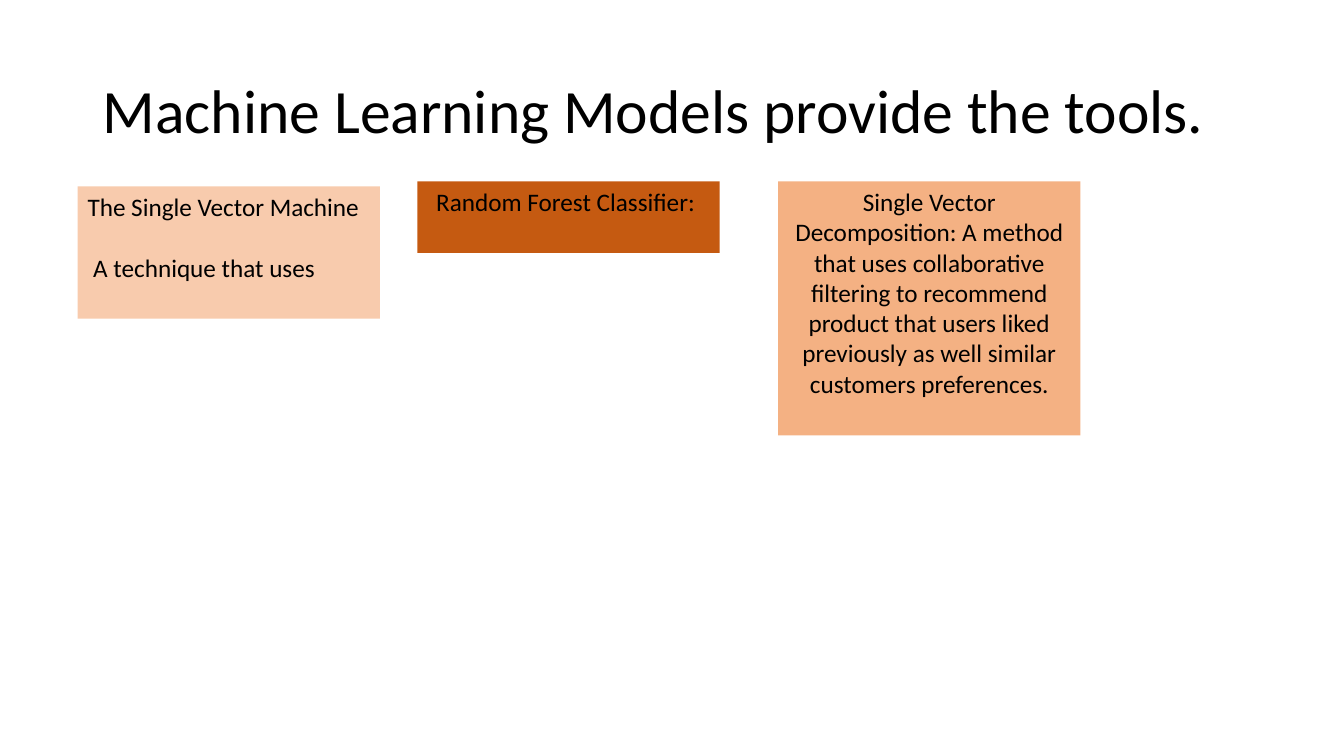
from dataclasses import dataclass

from pptx import Presentation
from pptx.dml.color import RGBColor
from pptx.enum.shapes import MSO_SHAPE
from pptx.enum.text import MSO_ANCHOR, PP_ALIGN
from pptx.util import Inches, Pt


@dataclass(frozen=True)
class Theme:
    font: str = "Calibri"
    title_size: float = 44
    body_size: float = 18
    line_height: float = 22
    text: str = "000000"
    pale: str = "F8CBAD"
    medium: str = "F4B183"
    dark: str = "C55A11"


THEME = Theme()

presentation = Presentation()
presentation.slide_width = Inches(13.333)
presentation.slide_height = Inches(7.5)

# The grid has 100 columns and 100 rows
COLUMN = presentation.slide_width / 100
ROW = presentation.slide_height / 100
CARD_WIDTH = 22.5


def grid_box(left, top, width, height):
    return (round(left * COLUMN), round(top * ROW),
            round(width * COLUMN), round(height * ROW))


def write_paragraph(paragraph, text, size, alignment):
    paragraph.text = text
    paragraph.alignment = alignment
    paragraph.font.name = THEME.font
    paragraph.font.size = Pt(size)
    paragraph.font.color.rgb = RGBColor.from_string(THEME.text)


def add_title(slide, box, text):
    frame = slide.shapes.add_textbox(*grid_box(*box)).text_frame
    frame.word_wrap = True
    frame.vertical_anchor = MSO_ANCHOR.MIDDLE
    paragraph = frame.paragraphs[0]
    write_paragraph(paragraph, text, THEME.title_size, PP_ALIGN.LEFT)
    paragraph.line_spacing = 0.9


def add_model_card(slide, box, fill, lines, alignment):
    card = slide.shapes.add_shape(MSO_SHAPE.RECTANGLE, *grid_box(*box))
    card.shadow.inherit = False
    card.fill.solid()
    card.fill.fore_color.rgb = RGBColor.from_string(fill)
    card.line.fill.background()
    frame = card.text_frame
    frame.word_wrap = True
    frame.vertical_anchor = MSO_ANCHOR.TOP
    for index, line in enumerate(lines):
        paragraph = frame.add_paragraph() if index else frame.paragraphs[0]
        write_paragraph(paragraph, line, THEME.body_size, alignment)
        # One line of space parts a description from its heading
        paragraph.space_before = Pt(THEME.line_height if index else 0)


# Model cards: left, top, height, fill, lines, alignment
MODEL_CARDS = [
    (5.78, 24.67, 17.47, THEME.pale,
     ["The Single Vector Machine", " A technique that uses "], PP_ALIGN.LEFT),
    (31.05, 24, 9.47, THEME.dark,
     ["Random Forest Classifier: "], PP_ALIGN.CENTER),
    (57.9, 24, 33.6, THEME.medium,
     ["Single Vector Decomposition: A method that uses collaborative filtering "
      "to recommend product that users liked previously as well similar "
      "customers preferences."], PP_ALIGN.CENTER),
]


def build_models_slide():
    slide = presentation.slides.add_slide(presentation.slide_layouts[6])
    add_title(slide, (6.9, 5.33, 86.25, 19.33),
              "Machine Learning Models provide the tools.")
    for left, top, height, fill, lines, alignment in MODEL_CARDS:
        add_model_card(slide, (left, top, CARD_WIDTH, height),
                       fill, lines, alignment)


build_models_slide()
presentation.save("out.pptx")
